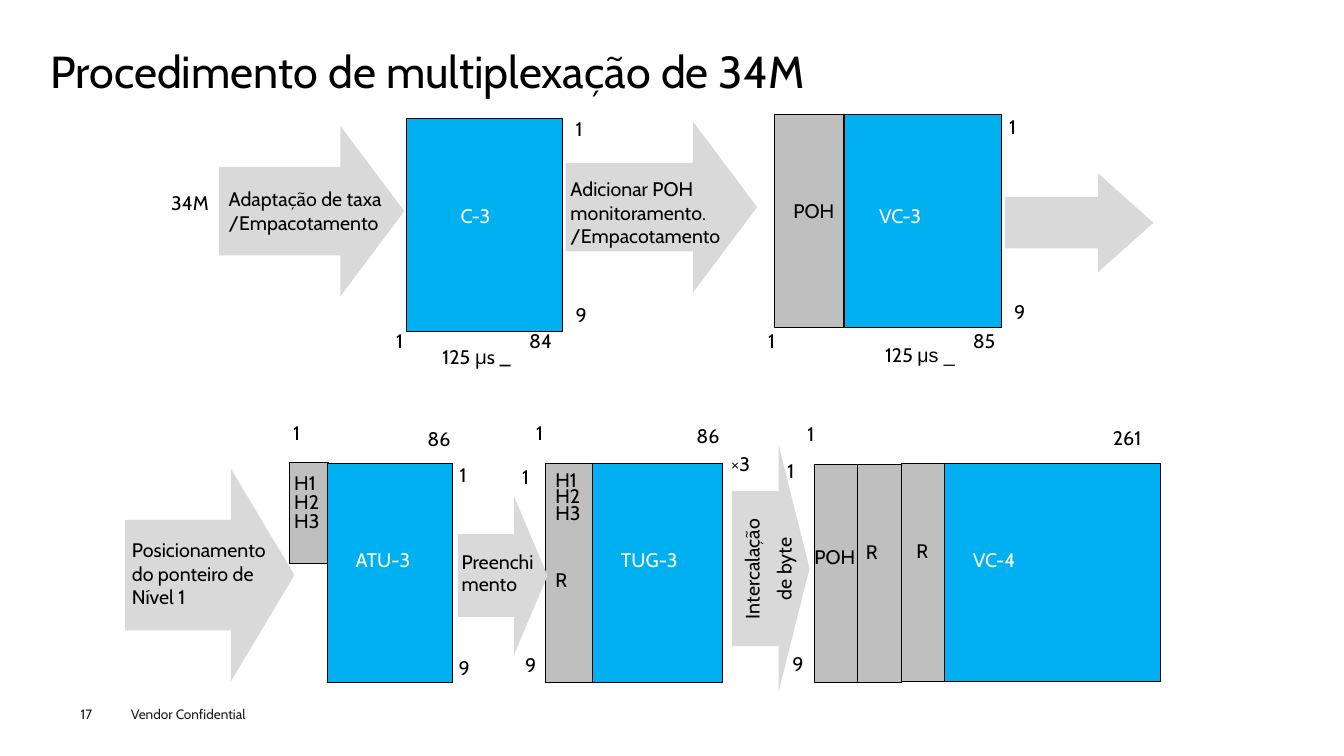
from pptx import Presentation
from pptx.dml.color import RGBColor
from pptx.enum.shapes import MSO_SHAPE
from pptx.enum.text import MSO_ANCHOR, PP_ALIGN
from pptx.util import Inches, Pt

COLORS = {
    "blue": "00B0F0",
    "gray": "BFBFBF",
    "arrow": "D9D9D9",
    "black": "000000",
    "white": "FFFFFF",
    "foot": "1D1D1B",
}

FRAMES = [
    ("blue", 4.03, 1.18, 1.55, 2.11),
    ("gray", 7.68, 1.14, 0.69, 2.11),
    ("blue", 8.38, 1.14, 1.55, 2.11),
    ("gray", 2.87, 4.59, 0.39, 1),
    ("blue", 3.25, 4.6, 1.24, 2.17),
    ("gray", 5.41, 4.6, 0.47, 2.17),
    ("blue", 5.88, 4.6, 1.29, 2.17),
    ("gray", 8.08, 4.61, 0.43, 2.16),
    ("gray", 8.51, 4.61, 0.43, 2.16),
    ("blue", 9.36, 4.6, 2.15, 2.16),
    ("gray", 8.94, 4.6, 0.43, 2.16),
]

ARROWS = [
    (2.17, 1.25, 1.84, 1.69, 0.52, 0.375),
    (5.61, 1.21, 1.9, 1.69, 0.52, 0.375),
    (9.97, 1.72, 1.47, 0.98, 0.52, 0.56),
    (1.24, 4.65, 1.68, 2.11, 0.52, 0.375),
    (4.54, 4.92, 0.89, 1.58, 0.52, 0.375),
    (7.26, 4.41, 0.77, 2.46, 0.626, 0.4),
]

NAMES = [
    ("C-3", 4.47, 1.97, 0.71),
    ("VC-3", 8.62, 1.97, 1.02),
    ("ATU-3", 3.43, 5.39, 0.8),
    ("TUG-3", 6.06, 5.39, 1.05),
    ("VC-4", 9.55, 5.39, 1.02),
]

STEPS = [
    ("Adaptação de taxa\n/Empacotamento", 2.17, 1.81, 1.91, 0.55),
    ("Adicionar POH\nmonitoramento.\n/Empacotamento", 5.56, 1.71, 2.08, 0.58),
    ("Posicionamento\ndo ponteiro de\nNível 1", 1.21, 5.29, 1.63, 0.82),
]

MARKS = {
    "1": [(3.83, 3.21), (7.52, 3.21), (5.61, 1.11), (9.91, 1.09),
          (2.81, 4.13), (4.46, 4.54), (5.22, 4.13), (5.08, 4.56),
          (7.91, 4.14), (7.71, 4.5)],
    "9": [(5.61, 2.96), (9.96, 2.93), (5.11, 6.43), (4.45, 6.46),
          (7.76, 6.42)],
    "R": [(5.41, 5.58), (8.49, 5.31), (8.99, 5.3)],
    "84": [(5.15, 3.21)],
    "85": [(9.55, 3.21)],
    "86": [(4.14, 4.19), (6.81, 4.16)],
    "34M": [(1.6, 1.84)],
    "261": [(10.94, 4.18)],
    "×3": [(7.15, 4.43)],
    "125 μs _": [(4.29, 3.37)],
}
WIDTHS = {1: 0.39, 2: 0.5, 3: 0.65, 8: 1}


def paint(shape, color):
    shape.shadow.inherit = False
    shape.fill.solid()
    shape.fill.fore_color.rgb = RGBColor.from_string(COLORS[color])


def add_frame(slide, color, *place):
    frame = slide.shapes.add_shape(MSO_SHAPE.RECTANGLE, *map(Inches, place))
    paint(frame, color)
    frame.line.color.rgb = RGBColor.from_string(COLORS["black"])
    frame.line.width = Pt(0.75)


def add_arrow(slide, left, top, width, height, shaft, head):
    place = map(Inches, (left, top, width, height))
    arrow = slide.shapes.add_shape(MSO_SHAPE.RIGHT_ARROW, *place)
    arrow.adjustments[0] = shaft
    arrow.adjustments[1] = head
    paint(arrow, "arrow")
    arrow.line.fill.background()


def style(run, size, color, font="Cabin"):
    run.font.name = font
    run.font.size = Pt(size)
    run.font.color.rgb = RGBColor.from_string(COLORS[color])


def add_label(slide, text, left, top, width, height=0.42, color="black",
              size=14, wrap=False, hang=True, inset=True, space=None,
              after=None, align=None):
    box = slide.shapes.add_textbox(*map(Inches, (left, top, width, height)))
    frame = box.text_frame
    frame.word_wrap = wrap
    frame.vertical_anchor = MSO_ANCHOR.TOP
    if not inset:
        frame.margin_left = frame.margin_right = 0
        frame.margin_top = frame.margin_bottom = 0
    frame.text = text
    for line in frame.paragraphs:
        if hang:
            props = line._p.get_or_add_pPr()
            props.set("marL", str(Inches(0.2)))
            props.set("indent", str(Inches(-0.2)))
        if space:
            line.line_spacing = space
        if after:
            line.space_after = Pt(after)
        if align:
            line.alignment = align
        for run in line.runs:
            style(run, size, color)
    return box


def add_texts(slide):
    for name in NAMES:
        add_label(slide, *name, color="white")
    for step in STEPS:
        add_label(slide, *step, wrap=True, hang=False)
    for text, spots in MARKS.items():
        for left, top in spots:
            add_label(slide, text, left, top, WIDTHS[len(text)], hang=False)
    for left, top in [(7.77, 1.98), (7.98, 5.41)]:
        add_label(slide, "POH", left, top, 0.7, hang=False, space=0.75)
    add_label(slide, "H1\nH2\nH3", 2.82, 4.73, 0.63, 0.73, wrap=True,
              space=0.45, after=6)
    add_label(slide, "H1\nH2\nH3", 5.41, 4.72, 0.5, 0.73,
              space=0.35, after=6)
    add_label(slide, "Preenchi\nmento", 4.48, 5.5, 0.98, 0.46, wrap=True,
              space=0.55, after=6)
    byte = add_label(slide, "Intercalação\nde byte", 6.87, 5.35, 1.43, 0.59,
                     wrap=True, after=6, align=PP_ALIGN.CENTER)
    byte.rotation = 270
    time = add_label(slide, "125 ", 8.68, 3.35, 1, hang=False)
    unit = time.text_frame.paragraphs[0].add_run()
    unit.text = "μs _"
    style(unit, 14, "black", "Arial")
    for box in slide.shapes:
        if box.has_text_frame and not box.text_frame.word_wrap:
            box.text_frame.word_wrap = True


def main():
    deck = Presentation()
    deck.slide_width = Inches(13.33)
    deck.slide_height = Inches(7.5)
    slide = deck.slides.add_slide(deck.slide_layouts[6])
    add_label(slide, "Procedimento de multiplexação de 34M", 0.5, 0.49, 12.35,
              0.54, size=32, wrap=True, hang=False, inset=False, space=0.9)
    for frame in FRAMES:
        add_frame(slide, *frame)
    for arrow in ARROWS:
        add_arrow(slide, *arrow)
    add_texts(slide)
    add_label(slide, "17", 0.8, 7, 0.55, 0.16, color="foot", size=9.7,
              wrap=True, hang=False, inset=False)
    add_label(slide, "Vendor Confidential", 1.2, 6.95, 1.6, 0.27,
              color="foot", size=9.7, wrap=True, hang=False)
    deck.save("out.pptx")


if __name__ == "__main__":
    main()
